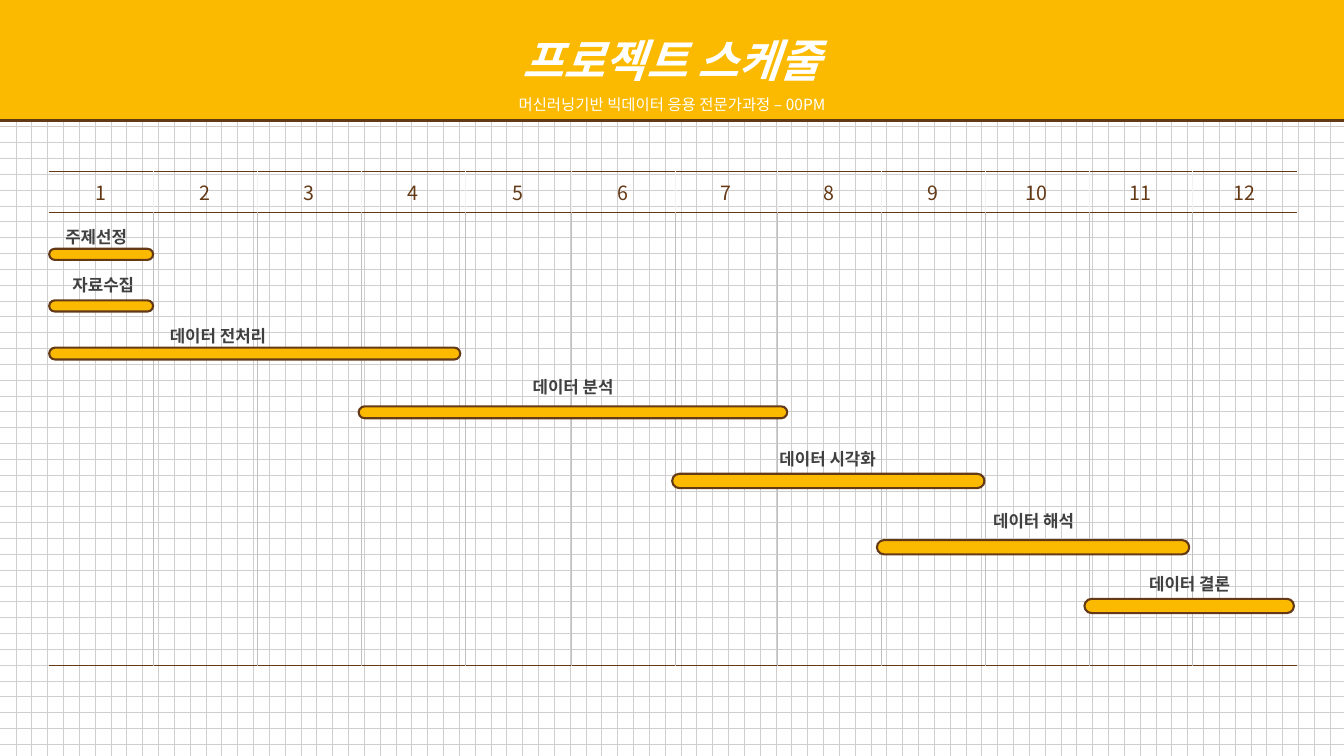
import pptx
import pptx.util
import pptx.oxml
import pptx.oxml.ns
from pptx.dml.color import RGBColor
from pptx.enum.dml import MSO_PATTERN
from pptx.enum.shapes import MSO_SHAPE
from pptx.enum.text import MSO_ANCHOR, PP_ALIGN

Cm = pptx.util.Cm
Pt = pptx.util.Pt
NS = pptx.oxml.ns.nsdecls("a")
FACE = "Noto Sans CJK KR"
GOLD = RGBColor(0xFB, 0xBA, 0x00)
BROWN = RGBColor(0x64, 0x39, 0x16)
WHITE = RGBColor(0xFF, 0xFF, 0xFF)
DARK = RGBColor(0x40, 0x40, 0x40)
GRID = RGBColor(0xD0, 0xCE, 0xCE)
PALE = RGBColor(0xF2, 0xF2, 0xF2)
GRAY = RGBColor(0xBF, 0xBF, 0xBF)

HEAD = {"size": Pt(32), "bold": True, "italic": True, "color": WHITE}
SUB = {"size": Pt(11), "bold": False, "italic": False, "color": WHITE}
MONTH = {"size": Pt(14), "bold": False, "color": BROWN}
LABEL = {"size": Pt(12), "bold": True, "color": DARK}

COLS = [2.62] * 4 + [2.67, 2.62, 2.57] + [2.62] * 5
ROWS = [1.04, 11.4]
TASKS = [
    ("주제선정", (-0.25, 1.01, 2.87), (0, 1.95, 2.62, 0.28)),
    ("자료수집", (-0.07, 2.23, 2.87), (0, 3.25, 2.62, 0.28)),
    ("데이터 전처리", (2.54, 3.5, 3.43), (0, 4.44, 10.36, 0.3)),
    ("데이터 분석", (11.49, 4.8, 3.43), (7.8, 5.92, 10.8, 0.3)),
    ("데이터 시각화", (16.79, 6.6, 5.66), (15.7, 7.62, 7.87, 0.36)),
    ("데이터 해석", (21.98, 8.18, 5.66), (20.86, 9.29, 7.87, 0.36)),
    ("데이터 결론", (25.91, 9.75, 5.66), (26.09, 10.77, 5.28, 0.36)),
]


def write(para, text, form, space=None):
    """Put centred text into a paragraph with the given format."""
    para.alignment = PP_ALIGN.CENTER
    if space:
        para.line_spacing = space
    run = para.add_run()
    run.text = text
    run.font.name = FACE
    for name, value in form.items():
        if name == "color":
            run.font.color.rgb = value
        else:
            setattr(run.font, name, value)
    props = run.font._element
    for tag in ("ea", "cs"):
        props.append(pptx.oxml.parse_xml(f'<a:{tag} {NS} typeface="{FACE}"/>'))


def block(slide, kind, x, y, wide, high):
    """Add a gold shape without shadow or line."""
    shape = slide.shapes.add_shape(kind, Cm(x), Cm(y), Cm(wide), Cm(high))
    shape.shadow.inherit = False
    shape.fill.solid()
    shape.fill.fore_color.rgb = GOLD
    shape.line.fill.background()
    return shape


def banner(slide, x, y, wide, high):
    """Draw the title band with a hard brown shadow below."""
    band = block(slide, MSO_SHAPE.RECTANGLE, x, y, wide, high)
    cast = pptx.oxml.parse_xml(
        f'<a:outerShdw {NS} blurRad="0" dist="{Pt(2)}" dir="5400000" algn="t" '
        f'rotWithShape="0"><a:srgbClr val="{BROWN}"/></a:outerShdw>')
    band._element.spPr.find(pptx.oxml.ns.qn("a:effectLst")).append(cast)
    frame = band.text_frame
    frame.word_wrap = True
    frame.vertical_anchor = MSO_ANCHOR.BOTTOM
    write(frame.paragraphs[0], "프로젝트 스케줄", HEAD, 1.5)
    write(frame.add_paragraph(), "머신러닝기반 빅데이터 응용 전문가과정 – 00PM", SUB, 1.5)


def edge(cell, side, color, width):
    """Set one border of a cell, or clear it when no color is given."""
    paint = (f'<a:solidFill><a:srgbClr val="{color}"/></a:solidFill>'
             if color else "<a:noFill/>")
    line = f'<a:ln{side} {NS} w="{Pt(width)}">{paint}</a:ln{side}>'
    cell._tc.get_or_add_tcPr().append(pptx.oxml.parse_xml(line))


def months(slide, x, y):
    """Draw the table of twelve months."""
    table = slide.shapes.add_table(
        len(ROWS), len(COLS), Cm(x), Cm(y), Cm(sum(COLS)), Cm(sum(ROWS))).table
    table.first_row = table.horz_banding = False
    for col, wide in zip(table.columns, COLS):
        col.width = Cm(wide)
    for r, (high, tint) in enumerate(zip(ROWS, (PALE, GRAY))):
        table.rows[r].height = Cm(high)
        for c in range(len(COLS)):
            cell = table.cell(r, c)
            cell.vertical_anchor = MSO_ANCHOR.MIDDLE
            edge(cell, "L", tint if c else None, 0.5)
            edge(cell, "R", tint if c < len(COLS) - 1 else None, 0.5)
            edge(cell, "T", BROWN, 1)
            edge(cell, "B", BROWN, 1)
            cell.fill.background()
            if r == 0:
                write(cell.text_frame.paragraphs[0], str(c + 1), MONTH)


def task(slide, x, y, text, place, span):
    """Draw one task as a bar with its label."""
    left, top, wide, high = span
    bar = block(slide, MSO_SHAPE.ROUNDED_RECTANGLE, x + left, y + top, wide, high)
    bar.adjustments[0] = 0.5
    bar.line.color.rgb = BROWN
    bar.line.width = Pt(1.5)
    left, top, wide = place
    box = slide.shapes.add_textbox(Cm(x + left), Cm(y + top), Cm(wide), Cm(0.94))
    box.text_frame.word_wrap = True
    write(box.text_frame.paragraphs[0], text, LABEL, 1.5)


def plan(slide, x, y):
    """Draw the month table and the tasks on it."""
    months(slide, x, y)
    for item in TASKS:
        task(slide, x, y, *item)


def main():
    """Build the schedule slide and save it."""
    deck = pptx.Presentation()
    deck.slide_width, deck.slide_height = Cm(33.87), Cm(19.05)
    slide = deck.slides.add_slide(deck.slide_layouts[6])
    fill = slide.background.fill
    fill.patterned()
    fill.pattern = MSO_PATTERN.DOTTED_GRID
    fill.fore_color.rgb = GRID
    fill.back_color.rgb = WHITE
    banner(slide, 0, 0, 33.87, 3)
    plan(slide, 1.24, 4.32)
    deck.save("out.pptx")


if __name__ == "__main__":
    main()
